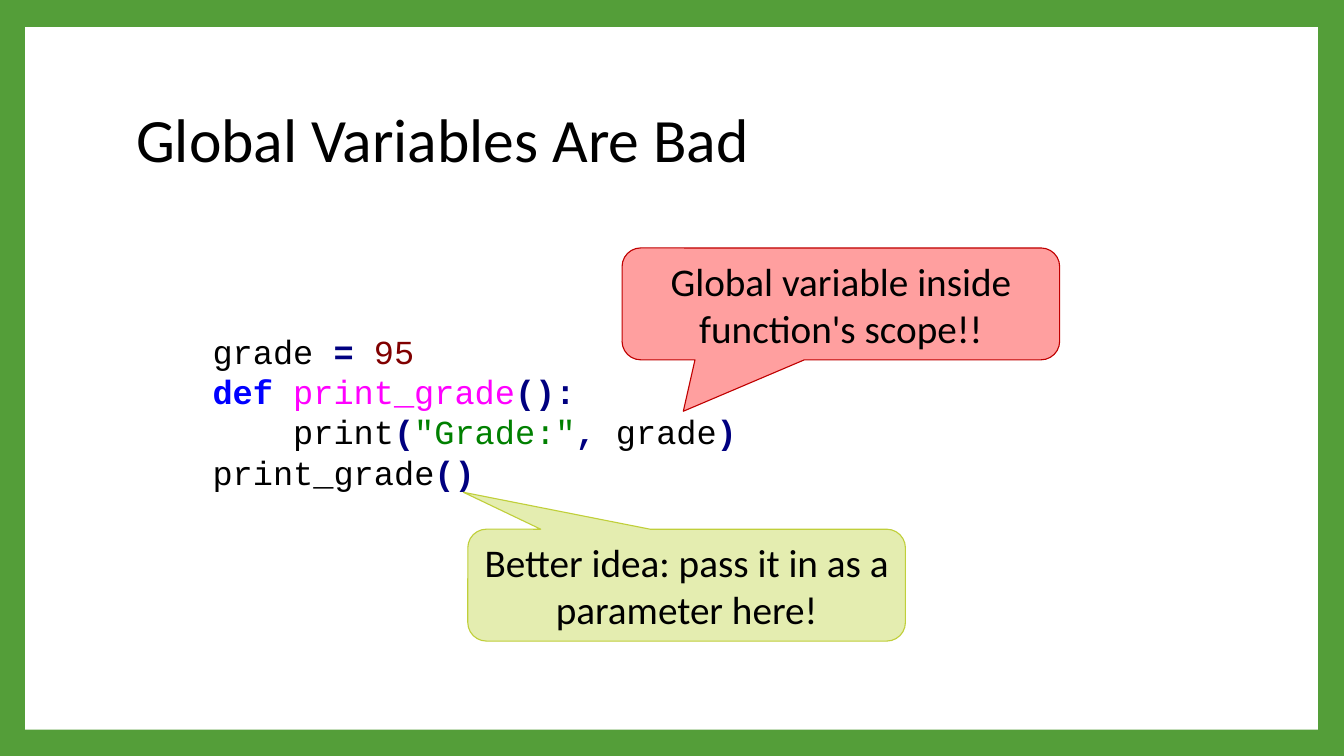
import pptx
import pptx.util
from pptx.dml.color import RGBColor
from pptx.enum.shapes import MSO_SHAPE
from pptx.enum.text import MSO_ANCHOR, PP_ALIGN
from pptx.util import Inches

BLACK = RGBColor(0x00, 0x00, 0x00)
WHITE = RGBColor(0xFF, 0xFF, 0xFF)
FRAME_GREEN = RGBColor(0x54, 0x9E, 0x39)
OPERATOR_NAVY = RGBColor(0x00, 0x00, 0x80)
KEYWORD_BLUE = RGBColor(0x00, 0x00, 0xFF)
NUMBER_MAROON = RGBColor(0x80, 0x00, 0x00)
NAME_MAGENTA = RGBColor(0xFF, 0x00, 0xFF)
STRING_GREEN = RGBColor(0x00, 0x80, 0x00)
WARNING_FILL = RGBColor(0xFF, 0x9F, 0x9F)
WARNING_LINE = RGBColor(0xC0, 0x00, 0x00)
ADVICE_FILL = RGBColor(0xE4, 0xED, 0xB0)
ADVICE_LINE = RGBColor(0xC0, 0xCF, 0x3A)

PLAIN = (BLACK, False)
OPERATOR = (OPERATOR_NAVY, True)
KEYWORD = (KEYWORD_BLUE, True)
NUMBER = (NUMBER_MAROON, False)
NAME = (NAME_MAGENTA, False)
STRING = (STRING_GREEN, False)

CODE = [
    [("grade ", PLAIN), ("= ", OPERATOR), ("95", NUMBER)],
    [("def ", KEYWORD), ("print_grade", NAME), ("():", OPERATOR)],
    [("    print", PLAIN), ("(", OPERATOR), ('"Grade:"', STRING),
     (",", OPERATOR), (" grade", PLAIN), (")", OPERATOR)],
    [("print_grade", PLAIN), ("()", OPERATOR)],
]


def add_text(para, text, font="Calibri", size=28, color=BLACK, bold=False):
    span = para.add_run()
    span.text = text
    span.font.name = font
    span.font.size = pptx.util.Pt(size)
    span.font.color.rgb = color
    span.font.bold = bold


class SlideBuilder:
    """Holds the current slide and the fonts and sizes it uses."""

    code_font = "Courier New"
    code_size = 24
    title_size = 44
    callout_size = 28

    def __init__(self, page):
        self.page = page

    def background(self, color):
        self.page.background.fill.solid()
        self.page.background.fill.fore_color.rgb = color

    def shape(self, kind, left, top, width, height, fill):
        box = self.page.shapes.add_shape(
            kind, Inches(left), Inches(top), Inches(width), Inches(height))
        box.shadow.inherit = False
        box.fill.solid()
        box.fill.fore_color.rgb = fill
        return box

    def panel(self, left, top, width, height):
        """Add the white panel behind the title."""
        box = self.shape(MSO_SHAPE.RECTANGLE, left, top, width, height, WHITE)
        box.line.fill.background()
        self.page.shapes.title.element.addprevious(box.element)

    def title(self, text, left, top, width, height):
        box = self.page.shapes.title
        box.left, box.top = Inches(left), Inches(top)
        box.width, box.height = Inches(width), Inches(height)
        box.text_frame.vertical_anchor = MSO_ANCHOR.MIDDLE
        para = box.text_frame.paragraphs[0]
        para.alignment = PP_ALIGN.LEFT
        para.line_spacing = 0.9
        add_text(para, text, size=self.title_size)

    def code(self, lines, left, top, width, height):
        box = self.page.shapes.add_textbox(
            Inches(left), Inches(top), Inches(width), Inches(height))
        frame = box.text_frame
        frame.word_wrap = True
        for index, line in enumerate(lines):
            para = frame.add_paragraph() if index else frame.paragraphs[0]
            para.line_spacing = pptx.util.Pt(28.8)
            for text, (color, bold) in line:
                add_text(para, text, font=self.code_font, size=self.code_size,
                         color=color, bold=bold)

    def callout(self, text, left, top, tip, fill, line):
        """Add a speech bubble; tip is its offset as a share of the size."""
        box = self.shape(MSO_SHAPE.ROUNDED_RECTANGULAR_CALLOUT,
                         left, top, 4.34, 1.11, fill)
        box.adjustments[0], box.adjustments[1] = tip
        box.line.color.rgb = line
        box.line.width = pptx.util.Pt(0.79)
        frame = box.text_frame
        frame.word_wrap = True
        frame.vertical_anchor = MSO_ANCHOR.MIDDLE
        para = frame.paragraphs[0]
        para.alignment = PP_ALIGN.CENTER
        add_text(para, text, size=self.callout_size)


def main():
    deck = pptx.Presentation()
    deck.slide_width, deck.slide_height = Inches(13.33), Inches(7.5)
    builder = SlideBuilder(deck.slides.add_slide(deck.slide_layouts[5]))
    builder.background(FRAME_GREEN)
    builder.panel(0.25, 0.27, 12.82, 6.97)
    builder.title("Global Variables Are Bad", 1.25, 0.67, 10.8, 1.48)
    builder.code(CODE, 2.01, 3.23, 6.67, 1.72)
    builder.callout("Better idea: pass it in as a parameter here!",
                    4.64, 5.25, (-0.51, -0.83), ADVICE_FILL, ADVICE_LINE)
    builder.callout("Global variable inside function's scope!!",
                    6.17, 2.46, (-0.36, 0.96), WARNING_FILL, WARNING_LINE)
    deck.save("out.pptx")


if __name__ == "__main__":
    main()
